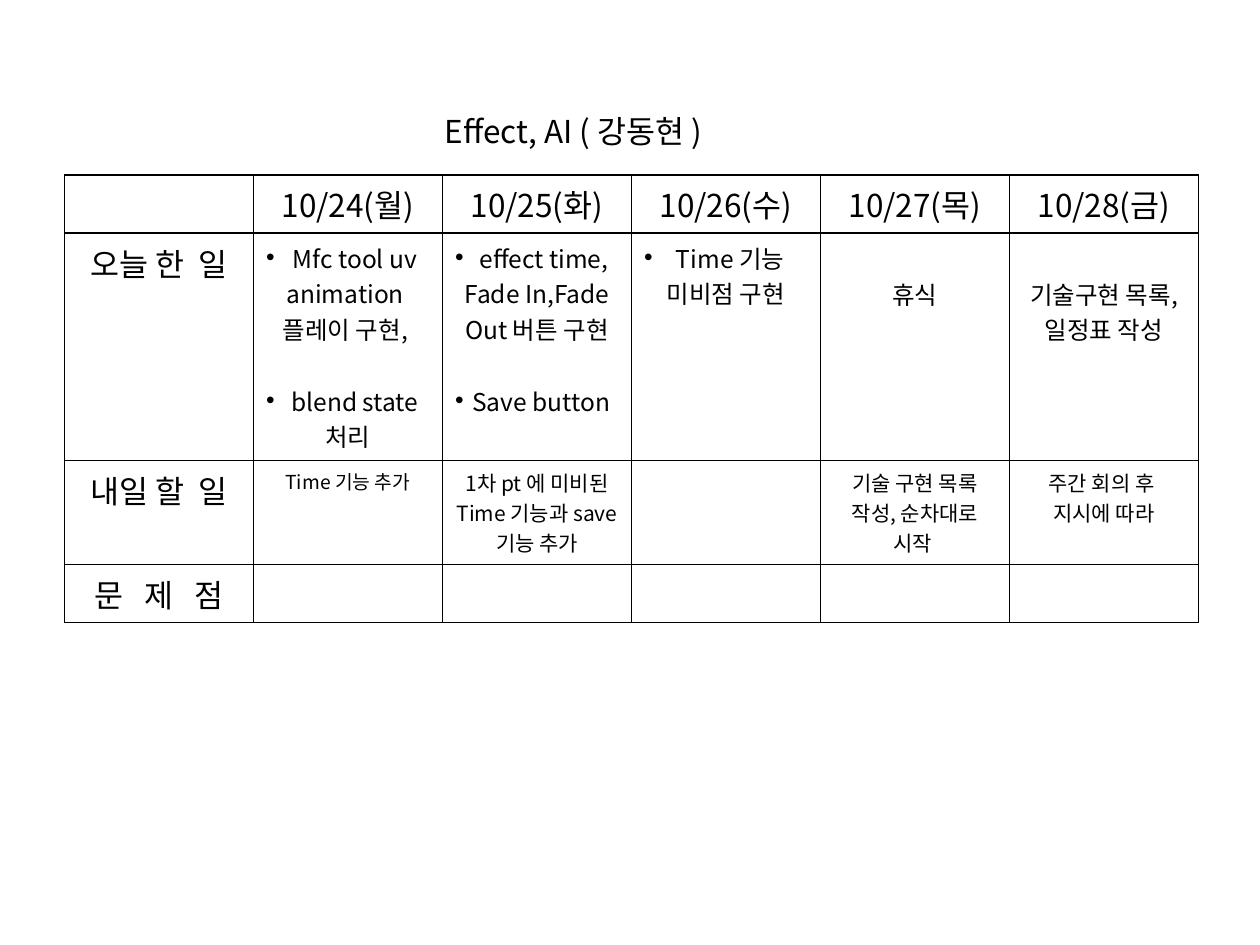
from dataclasses import dataclass

from lxml.etree import SubElement
from pptx import Presentation
from pptx.dml.color import RGBColor
from pptx.enum.text import MSO_ANCHOR, MSO_AUTO_SIZE, PP_ALIGN
from pptx.oxml.ns import qn
from pptx.util import Cm, Pt


@dataclass(frozen=True)
class Theme:
    """Colours, font, type sizes and line width of the schedule."""
    font: str = "Noto Sans CJK KR"
    ink: RGBColor = RGBColor(0, 0, 0)
    heading: float = 18
    task: float = 14
    plan: float = 12
    small: float = 11
    border: float = 1
    blank_line: float = 20.5
    hanging: float = 0.79


THEME = Theme()


def write(para, text, size=THEME.heading, align=PP_ALIGN.CENTER, bullet=False,
          before=0, spacing=0, wide=0):
    """Fill one paragraph with formatted text, widening its last few spaces."""
    para.alignment = align
    para.space_before = Pt(before)
    words = text.rsplit(" ", wide) if wide else [text]
    pieces = [words[0]] + [piece for word in words[1:] for piece in (" ", word)]
    for piece in pieces:
        span = para.add_run()
        span.text = piece
        span.font.size = Pt(size)
        span.font.name = THEME.font
        span.font.color.rgb = THEME.ink
        span_format = span.font._element
        SubElement(span_format, qn("a:ea")).set("typeface", THEME.font)
        if piece == " ":
            span_format.set("spc", str(int(spacing * 100)))
    if bullet:
        para_format = para._p.get_or_add_pPr()
        para_format.set("marL", "0")
        para_format.set("indent", str(-Cm(THEME.hanging)))
        SubElement(para_format, qn("a:buFont")).set("typeface", "Arial")
        SubElement(para_format, qn("a:buChar")).set("char", "•")


class Page:
    """Holds the theme and the current slide and adds elements to it."""

    def __init__(self, deck, theme):
        """Start a title-only slide."""
        self.theme = theme
        self.slide = deck.slides.add_slide(deck.slide_layouts[5])

    def title(self, text, left, top, width, height):
        """Place the title placeholder as a single left-aligned line."""
        box = self.slide.shapes.title
        box.left, box.top, box.width, box.height = Cm(left), Cm(top), Cm(width), Cm(height)
        frame = box.text_frame
        frame.word_wrap = False
        frame.auto_size = MSO_AUTO_SIZE.SHAPE_TO_FIT_TEXT
        frame.vertical_anchor = MSO_ANCHOR.TOP
        write(frame.paragraphs[0], text, align=PP_ALIGN.LEFT)

    def table(self, rows, left, top, column_width, row_heights):
        """Draw a ruled table whose cells are lists of formatted lines."""
        count = len(rows[0])
        table = self.slide.shapes.add_table(
            len(rows), count, Cm(left), Cm(top),
            Cm(column_width * count), Cm(sum(row_heights))).table
        table.first_row = table.horz_banding = False
        for row, height, contents in zip(table.rows, row_heights, rows):
            row.height = Cm(height)
            for cell, lines in zip(row.cells, contents):
                self.rule(cell)
                self.fill(cell, lines)

    def rule(self, cell):
        """Border a cell on all sides and leave it unfilled."""
        cell_format = cell._tc.get_or_add_tcPr()
        for side in ("lnL", "lnR", "lnT", "lnB"):
            line = SubElement(cell_format, qn(f"a:{side}"), w=str(Pt(self.theme.border)))
            paint = SubElement(line, qn("a:solidFill"))
            SubElement(paint, qn("a:srgbClr"), val=str(self.theme.ink))
        cell.fill.background()

    def fill(self, cell, lines):
        """Write lines into a cell, lowering the text by any first gap."""
        frame = cell.text_frame
        for index, (text, style) in enumerate(lines):
            style = dict(style)
            if index == 0 and "before" in style:
                cell.margin_top = Cm(0.13) + Pt(style.pop("before"))
            para = frame.add_paragraph() if index else frame.paragraphs[0]
            write(para, text, **style)


def line(text, **style):
    """Pair a text with its format."""
    return text, style


def task(text, **style):
    """Make a line in the size of finished work."""
    return line(text, size=THEME.task, **style)


def plan(text, size=THEME.plan):
    """Make a line in the size of planned work."""
    return line(text, size=size)


GAP = THEME.blank_line
DAYS = zip(range(24, 29), "월화수목금")
SCHEDULE = [
    [[]] + [[line(f"10/{date}({day})")] for date, day in DAYS],
    [
        [line("오늘 한 일", spacing=4, wide=1)],
        [task(" Mfc tool uv animation ", bullet=True), task("플레이 구현, "),
         task(" blend state 처리", bullet=True, before=GAP)],
        [task(" effect time,", bullet=True), task("Fade In,Fade Out 버튼 구현"),
         task("Save button", bullet=True, before=GAP)],
        [task("Time 기능", bullet=True), task("미비점 구현")],
        [task("휴식", before=GAP)],
        [task("기술구현 목록,일정표 작성", before=GAP)],
    ],
    [
        [line("내일 할 일", spacing=4, wide=1)],
        [plan("Time 기능 추가", size=THEME.small)],
        [plan("1차 pt 에 미비된"), plan("Time 기능과 save 기능 추가")],
        [],
        [plan("기술 구현 목록 작성, 순차대로 시작 ")],
        [plan("주간 회의 후 "), plan("지시에 따라")],
    ],
    [[line("문 제 점", spacing=8, wide=2)]] + [[]] * 5,
]

deck = Presentation()
deck.slide_width, deck.slide_height = Cm(25.4), Cm(19.05)
page = Page(deck, THEME)
page.table(SCHEDULE, left=1.3, top=3.53, column_width=3.81,
           row_heights=[1.17, 4.58, 2.1, 1.17])
page.title("Effect, AI ( 강동현 )", left=8.71, top=2.13, width=6.1, height=1.02)
deck.save("out.pptx")
